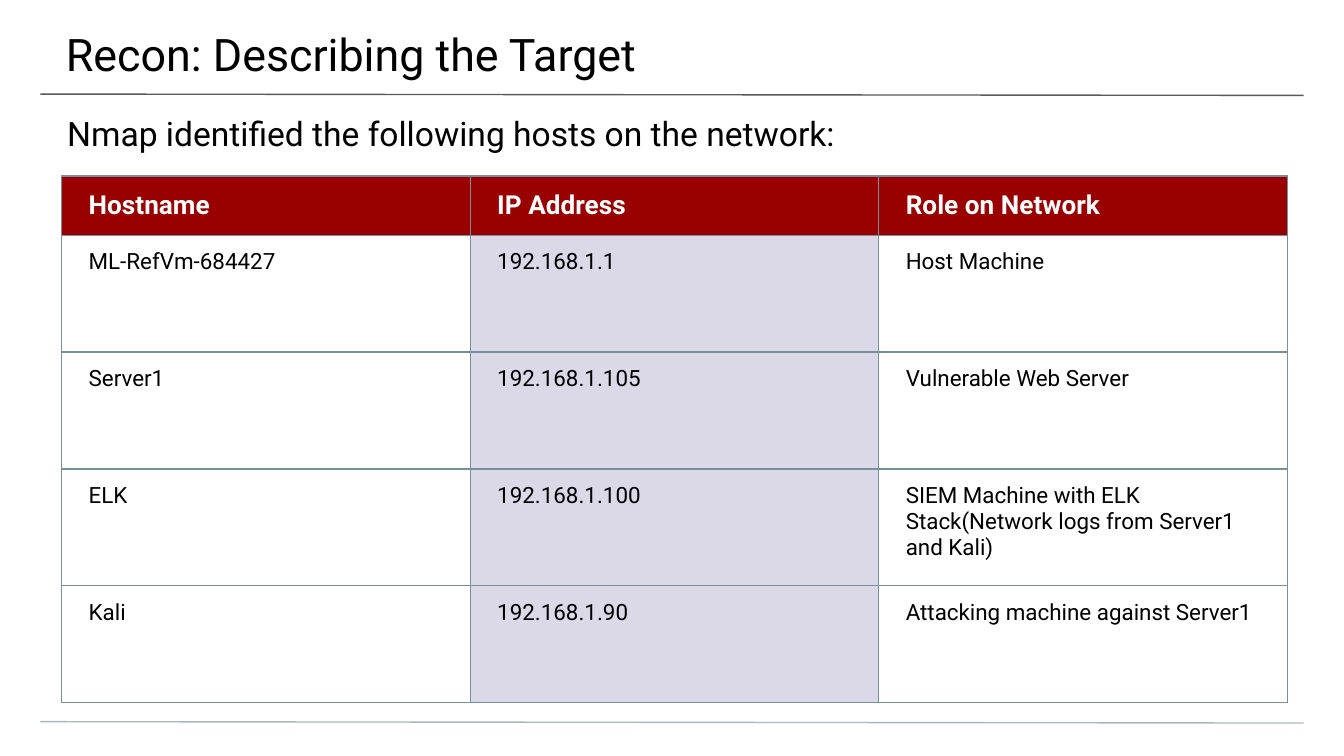
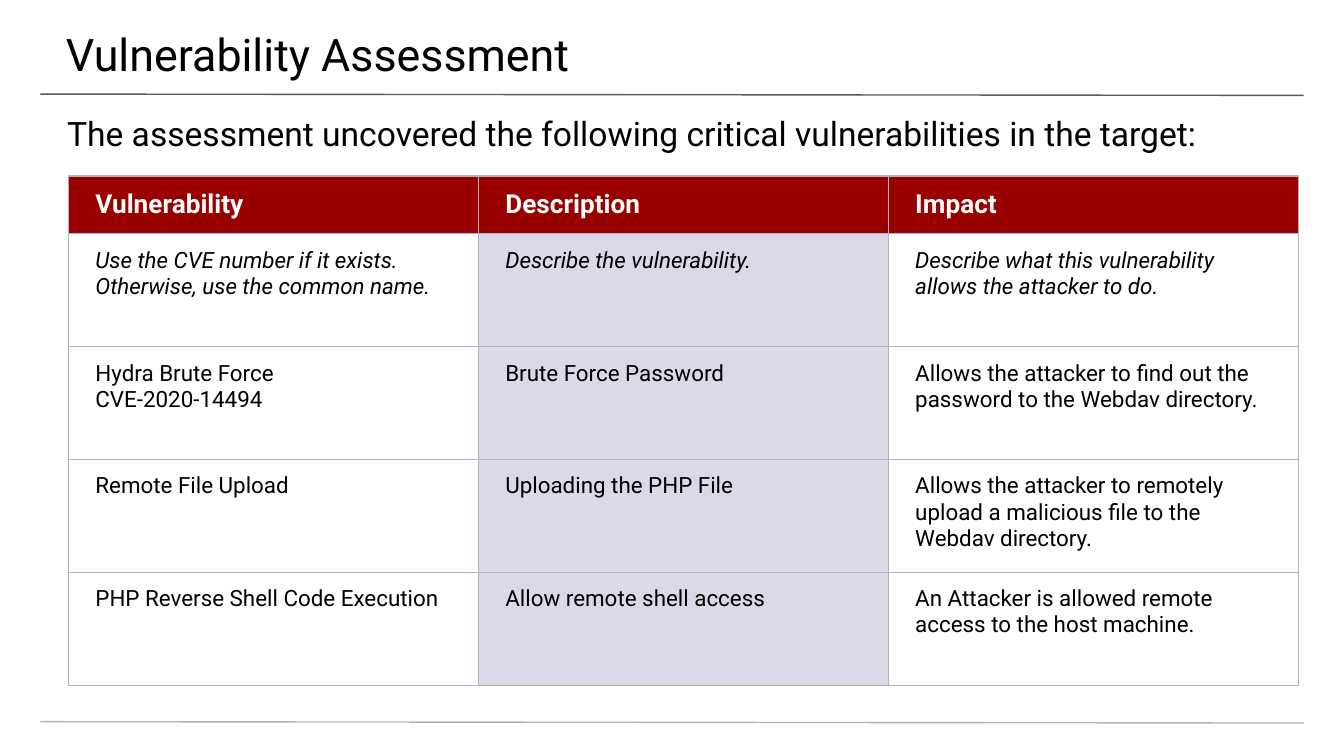
from dataclasses import dataclass

from lxml import etree
from pptx import Presentation
from pptx.dml.color import RGBColor
from pptx.enum import shapes, text
from pptx.oxml import ns
from pptx.util import Inches, Pt


@dataclass(frozen=True)
class Theme:
    font: str = "Roboto"
    ink: str = "000000"
    header_ink: str = "FFFFFF"
    header_fill: str = "990000"
    accent_fill: str = "DBD9E8"
    title_rule: str = "595959"
    footer_rule: str = "A9B7C0"
    rule_width: float = 0.75
    title_size: int = 24
    subtitle_size: int = 18
    header_size: int = 14
    body_size: int = 12


@dataclass(frozen=True)
class FindingsSlide:
    title: str
    subtitle: str
    rows: list[list[str]]  # the first row is the header
    left: float
    column_width: float
    header_height: float
    row_height: float
    border: str
    italic_rows: tuple[int, ...] = ()


THEME = Theme()
SLIDE_WIDTH = Inches(10)
SLIDE_HEIGHT = SLIDE_WIDTH * 9 // 16
TABLE_TOP = 1.31
ACCENT_COLUMN = 1
CELL_INSETS = (0.2, 0.1, 0.2, 0.1)

SLIDES = [
    FindingsSlide(
        title="Recon: Describing the Target",
        subtitle="Nmap identified the following hosts on the network:",
        rows=[
            ["Hostname", "IP Address", "Role on Network"],
            ["ML-RefVm-684427", "192.168.1.1", "Host Machine"],
            ["Server1", "192.168.1.105", "Vulnerable Web Server"],
            ["ELK", "192.168.1.100",
             "SIEM Machine with ELK Stack(Network logs from Server1 and Kali)"],
            ["Kali", "192.168.1.90", "Attacking machine against Server1"],
        ],
        left=0.46, column_width=3.04, header_height=0.44, row_height=0.87,
        border="78909C",
    ),
    FindingsSlide(
        title="Vulnerability Assessment",
        subtitle="The assessment uncovered the following critical "
                 "vulnerabilities in the target:",
        rows=[
            ["Vulnerability", "Description", "Impact"],
            ["Use the CVE number if it exists. Otherwise, use the common name.",
             "Describe the vulnerability.",
             "Describe what this vulnerability allows the attacker to do."],
            ["Hydra Brute Force\nCVE-2020-14494", "Brute Force Password",
             "Allows the attacker to find out the password to the Webdav directory."],
            ["Remote File Upload", "Uploading the PHP File",
             "Allows the attacker to remotely upload a malicious file "
             "to the Webdav directory."],
            ["PHP Reverse Shell Code Execution", "Allow remote shell access",
             "An Attacker is allowed remote access to the host machine."],
        ],
        left=0.51, column_width=3.05, header_height=0.43, row_height=0.84,
        border="A9B7C0", italic_rows=(1,),
    ),
]


def write(frame, content: str, *, size: int, color: str = THEME.ink,
          bold: bool = False, italic: bool = False) -> None:
    frame.text = content
    for paragraph in frame.paragraphs:
        paragraph.alignment = text.PP_ALIGN.LEFT
        for run in paragraph.runs:
            font = run.font
            font.name, font.size = THEME.font, Pt(size)
            font.bold, font.italic = bold, italic
            font.color.rgb = RGBColor.from_string(color)


def set_insets(target, insets: tuple[float, ...]) -> None:
    """Set left, top, right and bottom margins of a text frame or a cell."""
    (target.margin_left, target.margin_top,
     target.margin_right, target.margin_bottom) = map(Inches, insets)


def set_up_frame(frame, insets: tuple[float, ...]) -> None:
    frame.word_wrap = True
    frame.auto_size = text.MSO_AUTO_SIZE.NONE
    frame.vertical_anchor = text.MSO_ANCHOR.TOP
    set_insets(frame, insets)


def add_rule(slide, top: float, color: str) -> None:
    rule = slide.shapes.add_connector(
        shapes.MSO_CONNECTOR.STRAIGHT,
        Inches(0.3), Inches(top), Inches(9.7), Inches(top + 0.01))
    rule.line.color.rgb = RGBColor.from_string(color)
    rule.line.width = Pt(THEME.rule_width)
    etree.SubElement(rule._element.spPr, ns.qn("a:effectLst"))


def add_headings(slide, title: str, subtitle: str) -> None:
    heading = slide.shapes.title
    heading.left, heading.top = Inches(-0.01), Inches(0)
    heading.width, heading.height = Inches(10.03), Inches(0.58)
    set_up_frame(heading.text_frame, (0.5, 0.2, 0.3, 0.1))
    write(heading.text_frame, title, size=THEME.title_size)

    lead = slide.shapes.add_textbox(
        Inches(0), Inches(0.74), SLIDE_WIDTH, Inches(0.4))
    set_up_frame(lead.text_frame, (0.5, 0.1, 0.5, 0))
    write(lead.text_frame, subtitle, size=THEME.subtitle_size)


def set_borders(cell, color: str) -> None:
    """Outline a cell; call this before filling it, as the schema orders them."""
    properties = cell._tc.get_or_add_tcPr()
    for side in ("lnL", "lnR", "lnT", "lnB"):
        line = etree.SubElement(properties, ns.qn(f"a:{side}"),
                                w=str(Pt(THEME.rule_width)))
        fill = etree.SubElement(line, ns.qn("a:solidFill"))
        etree.SubElement(fill, ns.qn("a:srgbClr"), val=color)


def set_fill(cell, color: str | None) -> None:
    if color is None:
        cell.fill.background()
    else:
        cell.fill.solid()
        cell.fill.fore_color.rgb = RGBColor.from_string(color)


def add_findings_table(slide, content: FindingsSlide) -> None:
    row_count, column_count = len(content.rows), len(content.rows[0])
    height = content.header_height + content.row_height * (row_count - 1)
    findings = slide.shapes.add_table(
        row_count, column_count, Inches(content.left), Inches(TABLE_TOP),
        Inches(content.column_width * column_count), Inches(height)).table
    findings.first_row = findings.horz_banding = False
    for column in findings.columns:
        column.width = Inches(content.column_width)

    for r, entries in enumerate(content.rows):
        is_header = r == 0
        findings.rows[r].height = Inches(
            content.header_height if is_header else content.row_height)
        for c, entry in enumerate(entries):
            cell = findings.cell(r, c)
            set_insets(cell, CELL_INSETS)
            set_borders(cell, content.border)
            if is_header:
                cell.vertical_anchor = text.MSO_ANCHOR.MIDDLE
                set_fill(cell, THEME.header_fill)
                write(cell.text_frame, entry, size=THEME.header_size,
                      color=THEME.header_ink, bold=True)
            else:
                cell.vertical_anchor = text.MSO_ANCHOR.TOP
                set_fill(cell, THEME.accent_fill if c == ACCENT_COLUMN else None)
                write(cell.text_frame, entry, size=THEME.body_size,
                      italic=r in content.italic_rows)


def main() -> None:
    deck = Presentation()
    deck.slide_width, deck.slide_height = SLIDE_WIDTH, SLIDE_HEIGHT
    title_only = deck.slide_layouts.get_by_name("Title Only")
    for content in SLIDES:
        slide = deck.slides.add_slide(title_only)
        add_rule(slide, 0.7, THEME.title_rule)
        add_rule(slide, 5.37, THEME.footer_rule)
        add_headings(slide, content.title, content.subtitle)
        add_findings_table(slide, content)
    deck.save("out.pptx")


if __name__ == "__main__":
    main()
